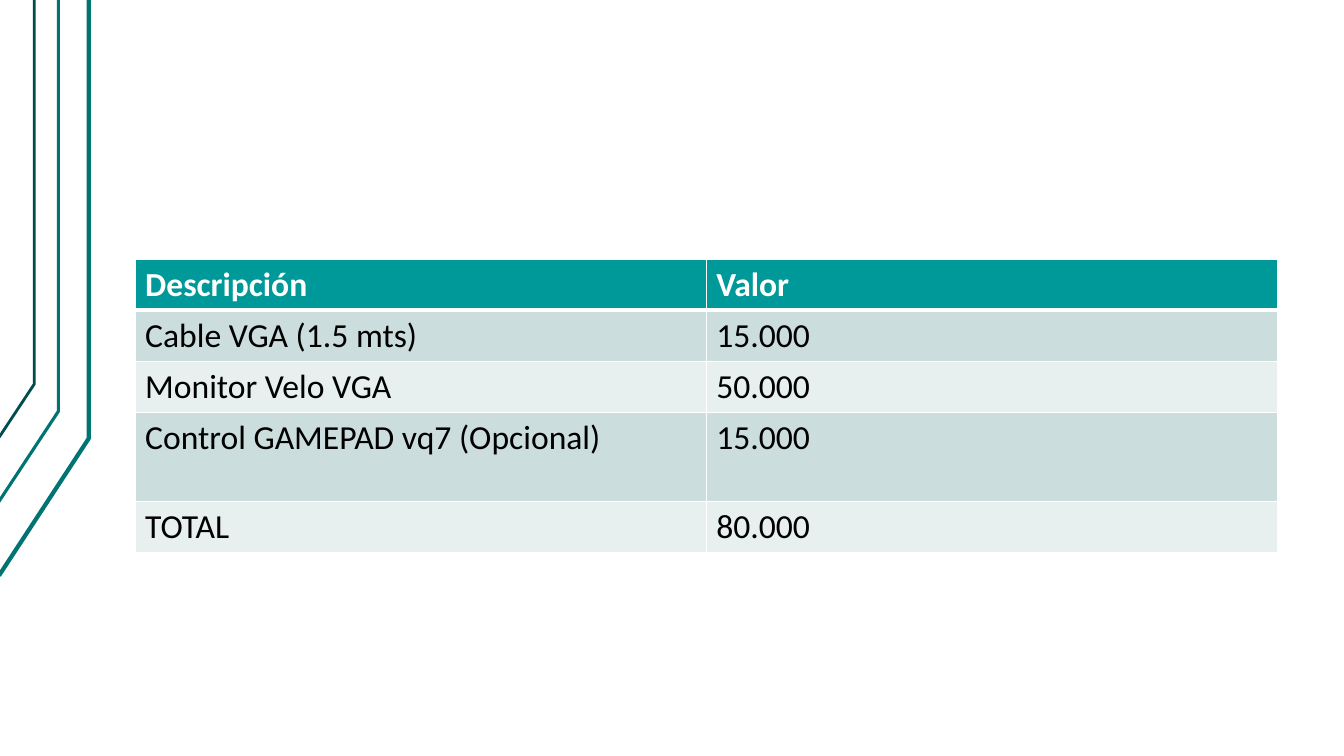
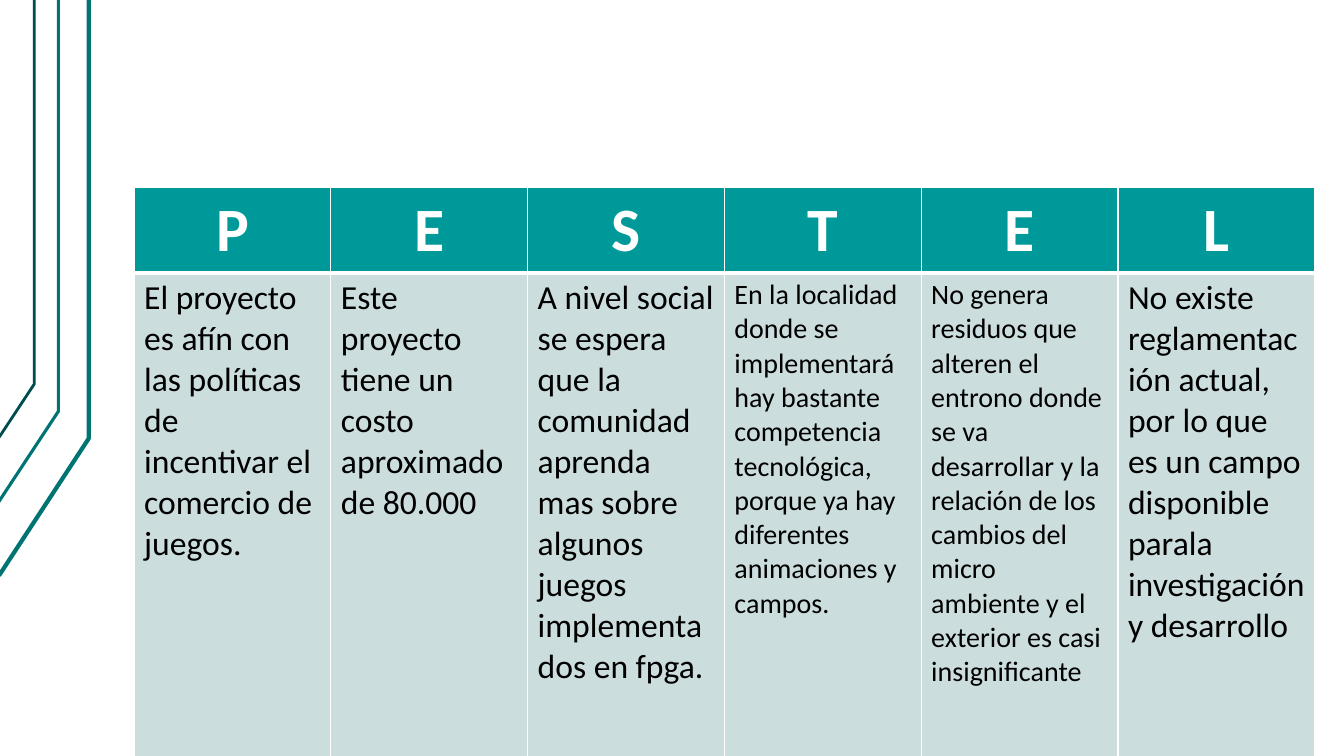
from dataclasses import dataclass

from lxml.etree import SubElement
from pptx import Presentation
from pptx.dml.color import RGBColor
from pptx.enum.text import PP_ALIGN
from pptx.oxml.ns import qn
from pptx.util import Inches, Pt


@dataclass(frozen=True)
class Theme:
    font: str = "Calibri"
    header_fill: str = "009999"
    band_fills: tuple = ("CCDDDD", "E7EFEF")
    header_text: str = "FFFFFF"
    body_text: str = "000000"
    border: str = "FFFFFF"
    teal: str = "007373"
    dark_teal: str = "004D4D"
    letter_size: int = 44
    body_size: int = 24
    small_size: int = 20
    thin: float = 0.96
    thick: float = 3


THEME = Theme()

# Each stripe: bottom-left, bend and top points, colour, width in points
STRIPES = [
    ([(-0.01, 5.71), (0.88, 4.35), (0.88, 0)], THEME.teal, 3),
    ([(-0.02, 4.99), (0.58, 4.08), (0.58, 0)], THEME.teal, 2.25),
    ([(-0.01, 4.34), (0.34, 3.81), (0.34, 0)], THEME.dark_teal, 2),
]

COSTS = [
    ("Descripción", "Valor"),
    ("Cable VGA (1.5 mts)", "15.000"),
    ("Monitor Velo VGA", "50.000"),
    ("Control GAMEPAD vq7 (Opcional)", "15.000"),
    ("TOTAL", "80.000"),
]

# Letter, assessment, text size
PESTEL = [
    ("P", "El proyecto es afín con las políticas de incentivar el comercio "
          "de juegos.", THEME.body_size),
    ("E", "Este proyecto tiene un costo aproximado de 80.000",
     THEME.body_size),
    ("S", "A nivel social se espera que la comunidad aprenda mas sobre "
          "algunos juegos implementados en fpga.", THEME.body_size),
    ("T", "En la localidad donde se implementará hay bastante competencia "
          "tecnológica, porque ya hay diferentes animaciones y campos.",
     THEME.small_size),
    ("E", "No genera residuos que alteren el entrono donde se va desarrollar "
          "y la relación de los cambios del micro ambiente y el exterior es "
          "casi insignificante", THEME.small_size),
    ("L", "No existe reglamentación actual, por lo que es un campo "
          "disponible parala investigación y desarrollo", THEME.body_size),
]


def add_stripes(slide):
    """Bent stripes down the left edge."""
    for points, color, width in STRIPES:
        start, *rest = [(Inches(x), Inches(y)) for x, y in points]
        builder = slide.shapes.build_freeform(*start)
        builder.add_line_segments(rest, close=False)
        stripe = builder.convert_to_shape()
        stripe.shadow.inherit = False
        stripe.fill.background()
        stripe.line.color.rgb = RGBColor.from_string(color)
        stripe.line.width = Pt(width)


def set_borders(cell, row):
    """White grid with a thicker rule between header and body."""
    widths = {
        "L": THEME.thin,
        "R": THEME.thin,
        "T": THEME.thick if row == 1 else THEME.thin,
        "B": THEME.thick if row == 0 else THEME.thin,
    }
    properties = cell._tc.get_or_add_tcPr()
    for side, width in widths.items():
        line = SubElement(properties, qn(f"a:ln{side}"), w=str(Pt(width)))
        fill = SubElement(line, qn("a:solidFill"))
        SubElement(fill, qn("a:srgbClr"), val=THEME.border)


def style_cell(cell, row, size, align):
    """Borders, banded fill and text format of one cell."""
    is_header = row == 0
    set_borders(cell, row)
    fill = THEME.header_fill if is_header else THEME.band_fills[(row - 1) % 2]
    cell.fill.solid()
    cell.fill.fore_color.rgb = RGBColor.from_string(fill)
    paragraph = cell.text_frame.paragraphs[0]
    paragraph.alignment = align
    for run in paragraph.runs:
        run.font.name = THEME.font
        run.font.size = Pt(size)
        run.font.bold = is_header
        run.font.color.rgb = RGBColor.from_string(
            THEME.header_text if is_header else THEME.body_text)


def add_grid(slide, box, texts, sizes, row_heights, header_align):
    """Table with equal columns filling the width of the box."""
    columns = len(texts[0])
    grid = slide.shapes.add_table(
        len(texts), columns, *(Inches(length) for length in box)).table
    grid.horz_banding = False
    for column in grid.columns:
        column.width = Inches(box[2] / columns)
    for row, height in enumerate(row_heights):
        grid.rows[row].height = Inches(height)
        align = header_align if row == 0 else PP_ALIGN.LEFT
        for col in range(columns):
            cell = grid.cell(row, col)
            cell.text_frame.text = texts[row][col]
            style_cell(cell, row, sizes[row][col], align)


def add_cost_table(slide, box):
    """Price list with its total."""
    sizes = [[THEME.body_size] * len(row) for row in COSTS]
    add_grid(slide, box, COSTS, sizes, [0.49, 0.49, 0.49, 0.88, 0.49],
             PP_ALIGN.LEFT)


def add_pestel_table(slide, box):
    """One column for each PESTEL factor."""
    letters, assessments, body_sizes = zip(*PESTEL)
    sizes = [[THEME.letter_size] * len(letters), body_sizes]
    add_grid(slide, box, [letters, assessments], sizes, [0.81, 5.34],
             PP_ALIGN.CENTER)


def main():
    deck = Presentation()
    deck.slide_width, deck.slide_height = Inches(13.33), Inches(7.5)
    regions = [
        (add_cost_table, (1.34, 2.57, 11.33, 2.84)),
        (add_pestel_table, (1.33, 1.86, 11.71, 6.15)),
    ]
    for add_region, box in regions:
        slide = deck.slides.add_slide(deck.slide_layouts[6])
        add_stripes(slide)
        add_region(slide, box)
    deck.save("out.pptx")


if __name__ == "__main__":
    main()
